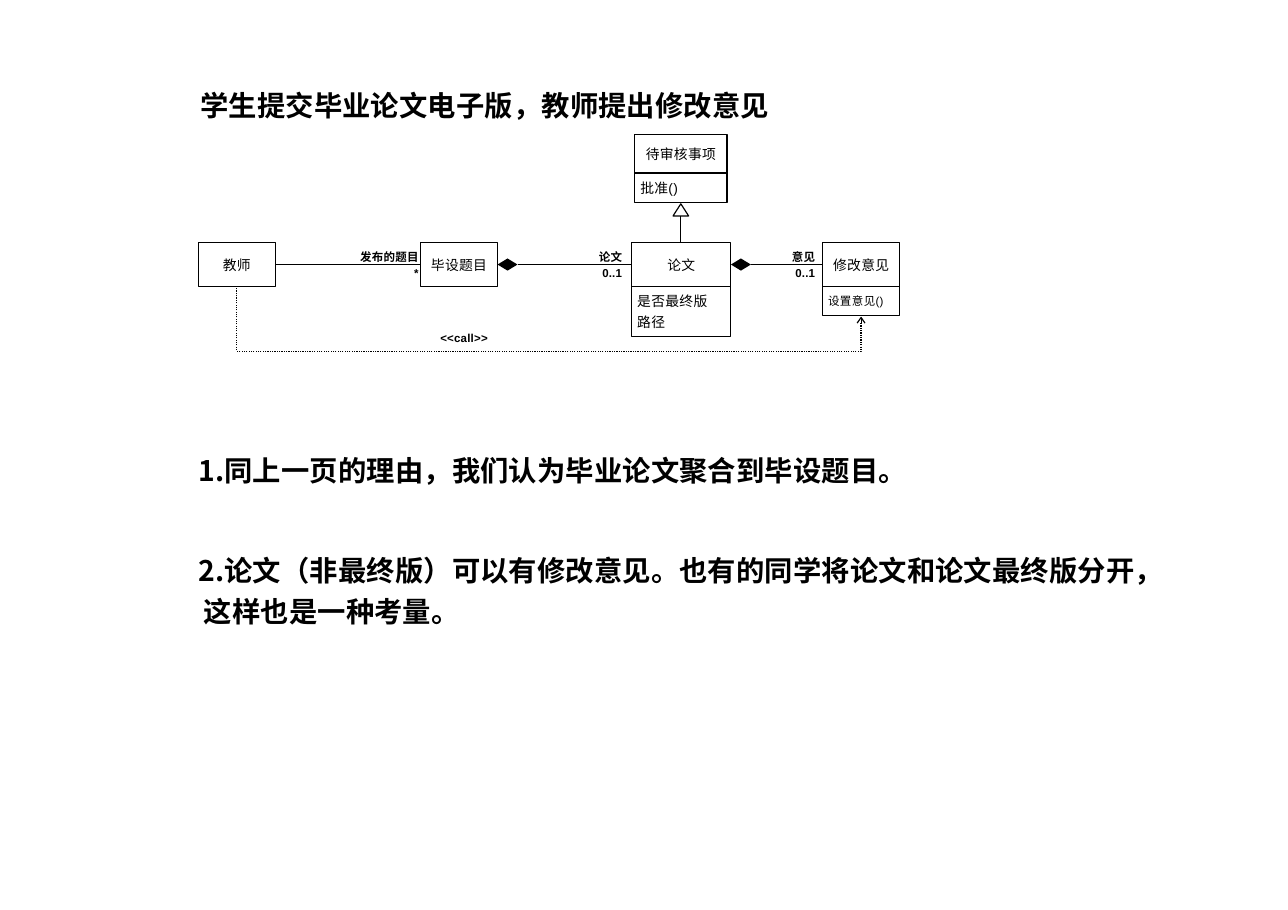
from lxml.etree import SubElement
from pptx import Presentation
from pptx.dml.color import RGBColor
from pptx.enum.dml import MSO_LINE_DASH_STYLE as Dash
from pptx.enum.shapes import MSO_CONNECTOR as Connector, MSO_SHAPE as Shape
from pptx.enum.text import MSO_ANCHOR as Anchor, PP_ALIGN as Align
from pptx.oxml.ns import qn
from pptx.util import Cm, Pt

BLACK = RGBColor(0x00, 0x00, 0x00)
CJK_FONT = "Noto Sans CJK TC"
LATIN_FONT = "Arial"
LINE_WIDTH = Pt(0.77)
CLASS_WIDTH = 1.78
CLASS_HEIGHT = 1.0
DIAMOND_WIDTH = 0.46
SYMBOL_HEIGHT = 0.28
LABEL_HEIGHT = 0.4


def add_run(paragraph, text, size, bold=False):
    run = paragraph.add_run()
    run.text = text
    font = run.font
    font.size, font.bold = Pt(size), bold
    font.color.rgb = BLACK
    font.name = LATIN_FONT if text.isascii() else CJK_FONT
    properties = run._r.get_or_add_rPr()
    properties.set("spc", "10" if bold else "20")
    SubElement(properties, qn("a:ea")).set("typeface", CJK_FONT)


def prepare_frame(frame, anchor=Anchor.MIDDLE, inset=0):
    frame.word_wrap = True
    frame.vertical_anchor = anchor
    frame.margin_left = Cm(inset)
    frame.margin_right = frame.margin_top = frame.margin_bottom = 0
    return frame


def fill_text(frame, lines, size, align=Align.LEFT, bold=False):
    for index, runs in enumerate(lines):
        paragraph = frame.add_paragraph() if index else frame.paragraphs[0]
        paragraph.alignment = align
        if index:
            paragraph.line_spacing = 1.22
        for text in runs:
            add_run(paragraph, text, size, bold)


def add_label(slide, left, top, width, text, align=Align.LEFT):
    box = slide.shapes.add_textbox(Cm(left), Cm(top), Cm(width), Cm(LABEL_HEIGHT))
    fill_text(prepare_frame(box.text_frame), [[text]], 7.5, align, True)


def style_outline(shape):
    shape.shadow.inherit = False
    shape.fill.background()
    shape.line.color.rgb = BLACK
    shape.line.width = LINE_WIDTH


def add_outline(slide, kind, left, top, width, height):
    shape = slide.shapes.add_shape(kind, Cm(left), Cm(top), Cm(width), Cm(height))
    style_outline(shape)
    return shape


def add_polyline(slide, points):
    start, *rest = [(Cm(x), Cm(y)) for x, y in points]
    builder = slide.shapes.build_freeform(*start)
    builder.add_line_segments(rest, close=False)
    shape = builder.convert_to_shape()
    style_outline(shape)
    return shape


def add_line(slide, x1, y1, x2, y2):
    line = slide.shapes.add_connector(Connector.STRAIGHT, Cm(x1), Cm(y1), Cm(x2), Cm(y2))
    line.line.color.rgb = BLACK
    line.line.width = LINE_WIDTH
    SubElement(line._element.spPr, qn("a:effectLst"))


def add_class(slide, left, top, name, width=CLASS_WIDTH, height=CLASS_HEIGHT,
              members=(), body_height=0, size=9):
    header = add_outline(slide, Shape.RECTANGLE, left, top, width, height)
    fill_text(prepare_frame(header.text_frame), [[name]], 9, Align.CENTER)
    if members:
        body = add_outline(slide, Shape.RECTANGLE, left, top + height, width, body_height)
        fill_text(prepare_frame(body.text_frame, inset=0.13), members, size)


def add_association(slide, start, end, axis, role, multiplicity, gap, composed=True):
    if composed:
        diamond = add_outline(slide, Shape.DIAMOND, start, axis - SYMBOL_HEIGHT / 2,
                              DIAMOND_WIDTH, SYMBOL_HEIGHT)
        diamond.fill.solid()
        diamond.fill.fore_color.rgb = BLACK
        diamond.line.fill.background()
        start += DIAMOND_WIDTH
    add_line(slide, start, axis, end, axis)
    for text, top in ((role, axis - LABEL_HEIGHT + 0.03), (multiplicity, axis)):
        add_label(slide, end - gap - 1.6, top, 1.6, text, Align.RIGHT)


def add_generalization(slide, center, parent_bottom, child_top):
    width = 0.36
    add_outline(slide, Shape.ISOSCELES_TRIANGLE, center - width / 2, parent_bottom,
                width, SYMBOL_HEIGHT)
    add_line(slide, center, parent_bottom + SYMBOL_HEIGHT, center, child_top)


def add_call(slide, start, end, top, bottom, tip):
    neck = tip + 0.13
    path = add_polyline(slide, [(end, neck), (end, bottom), (start, bottom), (start, top)])
    path.line.dash_style = Dash.ROUND_DOT
    add_polyline(slide, [(end - 0.09, neck), (end, tip), (end + 0.09, neck)])
    add_line(slide, end, tip, end, neck)
    add_label(slide, start + 4.69, bottom - 0.52, 1.4, "<<call>>")


def add_class_diagram(slide, left, top):
    row = top + 2.5
    axis = row + CLASS_HEIGHT / 2
    topic, paper, opinion = left + 5.12, left + 9.99, left + 14.39
    review, paper_width, review_width = left + 10.06, 2.29, 2.13
    half = CLASS_WIDTH / 2

    add_class(slide, left, row, "教师")
    add_class(slide, topic, row, "毕设题⽬")
    add_class(slide, paper, row, "论⽂", paper_width,
              members=[["是否最终版"], ["路径"]], body_height=1.16)
    add_class(slide, opinion, row, "修改意⻅",
              members=[["设置意⻅", "()"]], body_height=0.67, size=7.5)
    add_class(slide, review, top, "待审核事项", review_width, 0.89,
              members=[["批准", "()"]], body_height=0.69)

    add_association(slide, left + CLASS_WIDTH, topic, axis, "发布的题⽬", "*", 0.04, False)
    add_association(slide, topic + CLASS_WIDTH, paper, axis, "论⽂", "0..1", 0.22)
    add_association(slide, paper + paper_width, opinion, axis, "意⻅", "0..1", 0.17)
    add_generalization(slide, review + review_width / 2, top + 1.6, row)
    add_call(slide, left + half, opinion + half, row + CLASS_HEIGHT, top + 5, top + 4.22)


def add_title(slide, left, top, width, height):
    box = slide.shapes.add_textbox(Cm(left), Cm(top), Cm(width), Cm(height))
    frame = prepare_frame(box.text_frame, Anchor.TOP)
    fill_text(frame, [["学⽣提交毕业论⽂电⼦版，教师提出修改意⻅"]], 18.5, bold=True)


def add_notes_list(slide, left, top, width, height):
    box = slide.shapes.add_textbox(Cm(left), Cm(top), Cm(width), Cm(height))
    frame = prepare_frame(box.text_frame, Anchor.TOP)
    fill_text(frame, [
        ["同上⼀⻚的理由，我们认为毕业论⽂聚合到毕设题⽬。"],
        ["论⽂（⾮最终版）可以有修改意⻅。也有的同学将论⽂和论⽂最终版分开，这样也是⼀种考量。"],
    ], 18.5, bold=True)
    indent = Cm(0.12)
    for paragraph in frame.paragraphs:
        properties = paragraph._p.get_or_add_pPr()
        properties.set("marL", str(indent))
        properties.set("indent", str(-indent))
        SubElement(properties, qn("a:buFont")).set("typeface", CJK_FONT)
        SubElement(properties, qn("a:buAutoNum")).set("type", "arabicPeriod")
    frame.paragraphs[1].space_before = Pt(38)


presentation = Presentation()
presentation.slide_width = Cm(29.69)
presentation.slide_height = Cm(20.98)
slide = presentation.slides.add_slide(presentation.slide_layouts[6])
add_title(slide, 4.62, 2.03, 14, 0.95)
add_class_diagram(slide, 4.57, 3.1)
add_notes_list(slide, 4.58, 10.45, 22.54, 4.2)
presentation.save("out.pptx")
